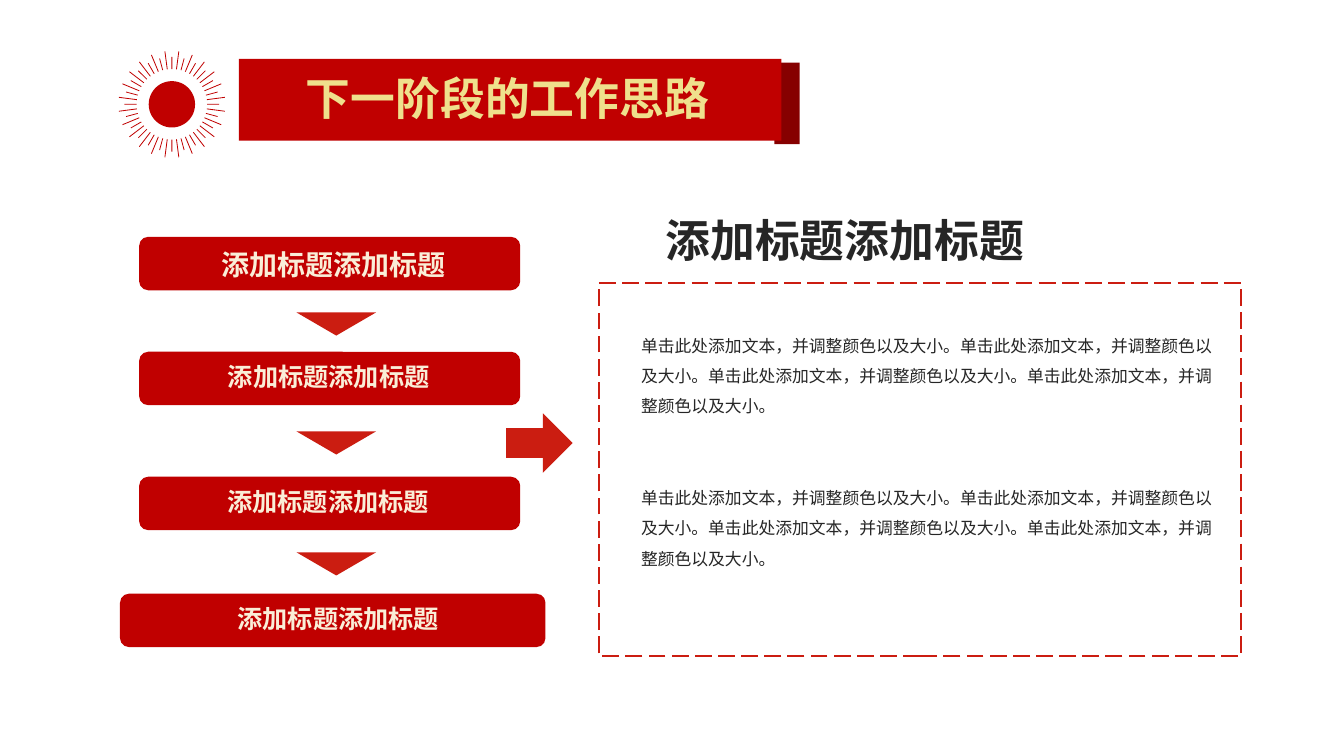
from math import cos, pi, sin

from lxml import etree
from pptx import Presentation
from pptx.dml.color import RGBColor
from pptx.enum.dml import MSO_LINE
from pptx.enum.shapes import MSO_SHAPE
from pptx.enum.text import MSO_ANCHOR, MSO_AUTO_SIZE, PP_ALIGN
from pptx.oxml.ns import qn
from pptx.util import Inches, Pt

RECTANGLE = MSO_SHAPE.RECTANGLE
ROUNDED = MSO_SHAPE.ROUNDED_RECTANGLE
TRIANGLE = MSO_SHAPE.ISOSCELES_TRIANGLE
ARROW = MSO_SHAPE.RIGHT_ARROW
OVAL = MSO_SHAPE.OVAL
LONG_DASH = MSO_LINE.LONG_DASH
TOP, MIDDLE = MSO_ANCHOR.TOP, MSO_ANCHOR.MIDDLE
GROW = MSO_AUTO_SIZE.SHAPE_TO_FIT_TEXT
CENTER, LEFT = PP_ALIGN.CENTER, PP_ALIGN.LEFT

RED = RGBColor(0xC0, 0x00, 0x00)
DARK_RED = RGBColor(0x86, 0x00, 0x00)
BRIGHT_RED = RGBColor(0xCB, 0x1D, 0x11)
CREAM = RGBColor(0xFA, 0xEE, 0xD8)
GOLD = RGBColor(0xEF, 0xE0, 0x8C)
INK = RGBColor(0x26, 0x26, 0x26)

FONT = "Noto Sans CJK SC"
CELL = Inches(0.1)
RAY_COUNT = 48

PAGE_TITLE = "下一阶段的工作思路"
HEADING = "添加标题添加标题"
BODY = "单击此处添加文本，并调整颜色以及大小。" * 4

STEPS = [
    ((13.8, 23.5, 37.8), (16, 24.1, 34.2, 4.4), 20),
    ((13.8, 34.9, 37.8), (15, 35.4, 35.2, 4), 18),
    ((13.8, 47.3, 37.8), (14.9, 47.8, 35.3, 4), 18),
    ((11.9, 58.9, 42.2), (13.2, 59.4, 40.7, 4), 18),
]
STEP_ROWS = 5.3
POINTER_TOPS = [31, 42.8, 54.8]
BODY_TOPS = [31.8, 46.9]


def cells(*counts):
    return [round(count * CELL) for count in counts]


def add_block(slide, preset, area, fill=None):
    block = slide.shapes.add_shape(preset, *cells(*area))
    block.shadow.inherit = False
    block.line.fill.background()
    if fill is None:
        block.fill.background()
    else:
        block.fill.solid()
        block.fill.fore_color.rgb = fill
    return block


def write(frame, words, size, color, bold=True, align=CENTER, anchor=TOP, spacing=None):
    frame.word_wrap = True
    frame.vertical_anchor = anchor
    frame.text = words
    paragraph = frame.paragraphs[0]
    paragraph.alignment = align
    paragraph.line_spacing = spacing
    run = paragraph.runs[0]
    run.font.size = Pt(size)
    run.font.bold = bold
    run.font.color.rgb = color
    run.font.name = FONT
    etree.SubElement(run.font._element, qn("a:ea")).set("typeface", FONT)


def add_text(slide, area, words, size, color, grow=True, **style):
    frame = slide.shapes.add_textbox(*cells(*area)).text_frame
    write(frame, words, size, color, **style)
    if grow:
        frame.auto_size = GROW


def ray_corners(index, center_x=17.05, center_y=10.35):
    angle = 2 * pi * index / RAY_COUNT
    outer = 5.3 if index % 2 else 4.7
    ends = [(3.5, -0.04), (outer, -0.04), (outer, 0.04), (3.5, 0.04)]
    return [
        cells(center_x + along * sin(angle) + across * cos(angle),
              center_y - along * cos(angle) + across * sin(angle))
        for along, across in ends
    ]


def add_sunburst(slide):
    builder = None
    for index in range(RAY_COUNT):
        first, *others = ray_corners(index)
        if builder is None:
            builder = slide.shapes.build_freeform(*first)
        else:
            builder.move_to(*first)
        builder.add_line_segments(others, close=True)
    rays = builder.convert_to_shape()
    rays.shadow.inherit = False
    rays.fill.solid()
    rays.fill.fore_color.rgb = RED
    rays.line.fill.background()
    add_block(slide, OVAL, (14.75, 8.05, 4.6, 4.6), RED)


def add_banner(slide):
    add_block(slide, RECTANGLE, (76.8, 6.2, 2.5, 8.1), DARK_RED)
    add_block(slide, RECTANGLE, (23.7, 5.85, 53.8, 8.1), RED)
    add_text(slide, (26, 6.5, 48.7, 6.4), PAGE_TITLE, 32, GOLD)


def add_step(slide, bar_place, label_area, size):
    bar = add_block(slide, ROUNDED, (*bar_place, STEP_ROWS), RED)
    bar.adjustments[0] = 0.17
    label = add_block(slide, RECTANGLE, label_area, RED)
    write(label.text_frame, HEADING, size, CREAM)


def add_pointer(slide, top):
    pointer = add_block(slide, TRIANGLE, (29.4, top, 7.9, 2.3), BRIGHT_RED)
    pointer._element.spPr.find(qn("a:xfrm")).set("flipV", "1")


def add_detail_panel(slide):
    add_text(slide, (53.6, 20.8, 60.4, 5.9), HEADING, 32, INK, grow=False, anchor=MIDDLE)
    for top in BODY_TOPS:
        add_text(slide, (62.6, top, 59.8, 10.1), BODY, 12, INK,
                 bold=False, align=LEFT, spacing=1.5)
    border = add_block(slide, RECTANGLE, (59.4, 28.1, 63.7, 37))
    border.line.color.rgb = BRIGHT_RED
    border.line.width = Pt(1.5)
    border.line.dash_style = LONG_DASH


def main():
    deck = Presentation()
    deck.slide_width, deck.slide_height = Inches(13.33), Inches(7.5)
    slide = deck.slides.add_slide(deck.slide_layouts[6])
    add_banner(slide)
    add_sunburst(slide)
    for step in STEPS:
        add_step(slide, *step)
    for top in POINTER_TOPS:
        add_pointer(slide, top)
    add_block(slide, ARROW, (50.2, 41, 6.6, 5.9), BRIGHT_RED)
    add_detail_panel(slide)
    deck.save("out.pptx")


if __name__ == "__main__":
    main()
